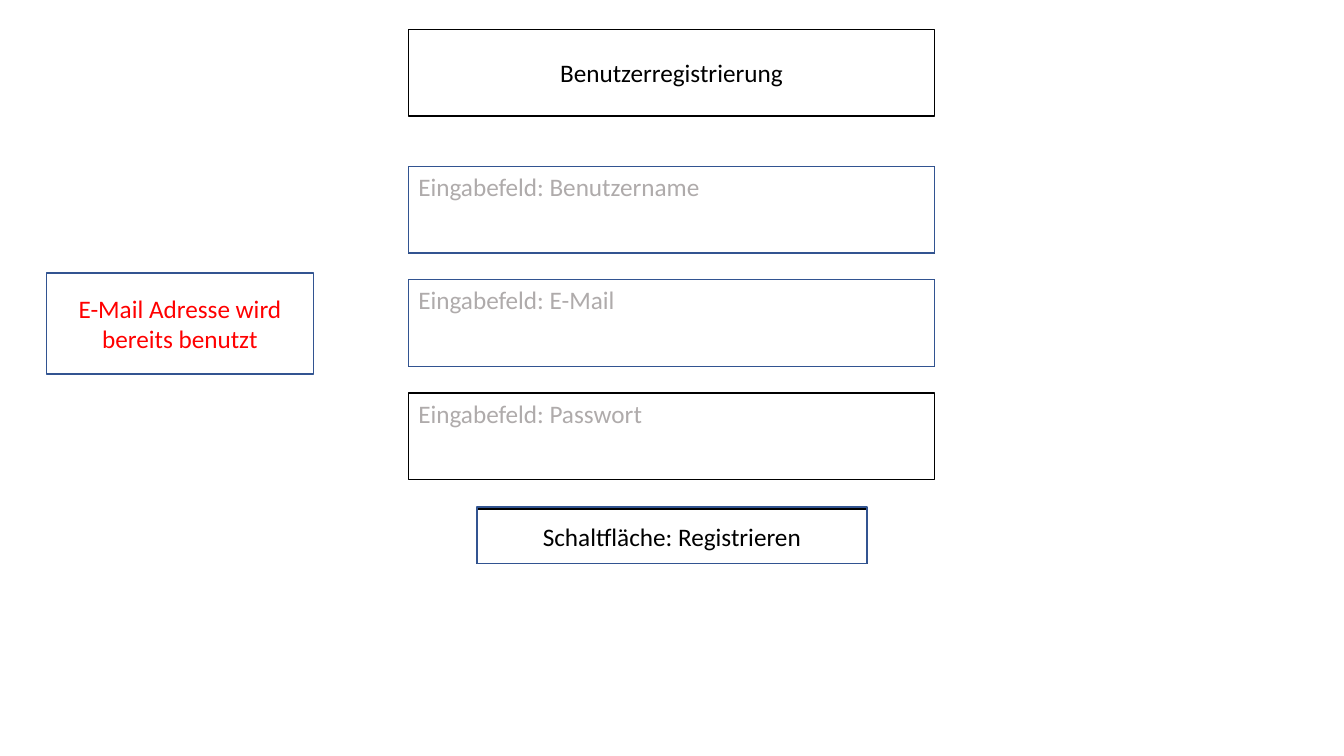
from pptx import Presentation
from pptx.dml.color import RGBColor
from pptx.enum.shapes import MSO_SHAPE as SHAPE
from pptx.enum.text import MSO_ANCHOR as ANCHOR, MSO_AUTO_SIZE as AUTO, PP_ALIGN as ALIGN
from pptx.util import Inches, Pt

BLACK = RGBColor(0x00, 0x00, 0x00)
WHITE = RGBColor(0xFF, 0xFF, 0xFF)
GREY = RGBColor(0xAF, 0xAB, 0xAB)
RED = RGBColor(0xFF, 0x00, 0x00)
BLUE = RGBColor(0x32, 0x54, 0x91)

FORM_LEFT, FORM_WIDTH, FIELD_HEIGHT = 4.05, 5.22, 0.86
FIELD_TOP, FIELD_STEP = 1.65, 1.125
BUTTON_LEFT, BUTTON_WIDTH = 4.73, 3.87

prs = Presentation()
prs.slide_width, prs.slide_height = Inches(13.33), Inches(7.5)
slide = prs.slides.add_slide(prs.slide_layouts[5])


def add_shape(kind, left, top, width, height):
    sp = slide.shapes.add_shape(kind, Inches(left), Inches(top), Inches(width), Inches(height))
    sp.shadow.inherit = False
    return sp


def format_box(sp, text, color, line=BLACK, align=ALIGN.CENTER, anchor=ANCHOR.MIDDLE):
    sp.fill.solid()
    sp.fill.fore_color.rgb = WHITE
    sp.line.color.rgb = line
    sp.line.width = Pt(1)
    tf = sp.text_frame
    tf.text = text
    tf.word_wrap = True
    tf.auto_size = AUTO.NONE
    tf.vertical_anchor = anchor
    p = tf.paragraphs[0]
    p.alignment = align
    font = p.runs[0].font
    font.name, font.size, font.color.rgb = "Calibri", Pt(18), color


# Heading
title = slide.shapes.title
title.left, title.top = Inches(FORM_LEFT), Inches(0.29)
title.width, title.height = Inches(FORM_WIDTH), Inches(FIELD_HEIGHT)
format_box(title, "Benutzerregistrierung", BLACK)

# Input fields
field_tops = [FIELD_TOP + i * FIELD_STEP for i in range(3)]
for top, name in zip(field_tops, ["Benutzername", "E-Mail", "Passwort"]):
    sp = add_shape(SHAPE.RECTANGLE, FORM_LEFT, top, FORM_WIDTH, FIELD_HEIGHT)
    format_box(sp, f"Eingabefeld: {name}", GREY, align=ALIGN.LEFT, anchor=ANCHOR.TOP)

# Register button
sp = add_shape(SHAPE.RECTANGLE, BUTTON_LEFT, 5.05, BUTTON_WIDTH, 0.54)
format_box(sp, "Schaltfläche: Registrieren", BLACK)

# Error message
sp = add_shape(SHAPE.RECTANGLE, 0.46, 2.71, 2.65, 1)
format_box(sp, "E-Mail Adresse wird bereits benutzt", RED, line=BLUE)

# Clickable areas over the first two fields and the button
click_areas = [(FORM_LEFT, top, FORM_WIDTH, FIELD_HEIGHT) for top in field_tops[:2]]
click_areas.append((BUTTON_LEFT, 5.03, BUTTON_WIDTH, 0.56))
for area in click_areas:
    sp = add_shape(SHAPE.ACTION_BUTTON_CUSTOM, *area)
    sp.fill.background()
    sp.line.color.rgb = BLUE
    sp.line.width = Pt(1)

prs.save("out.pptx")
